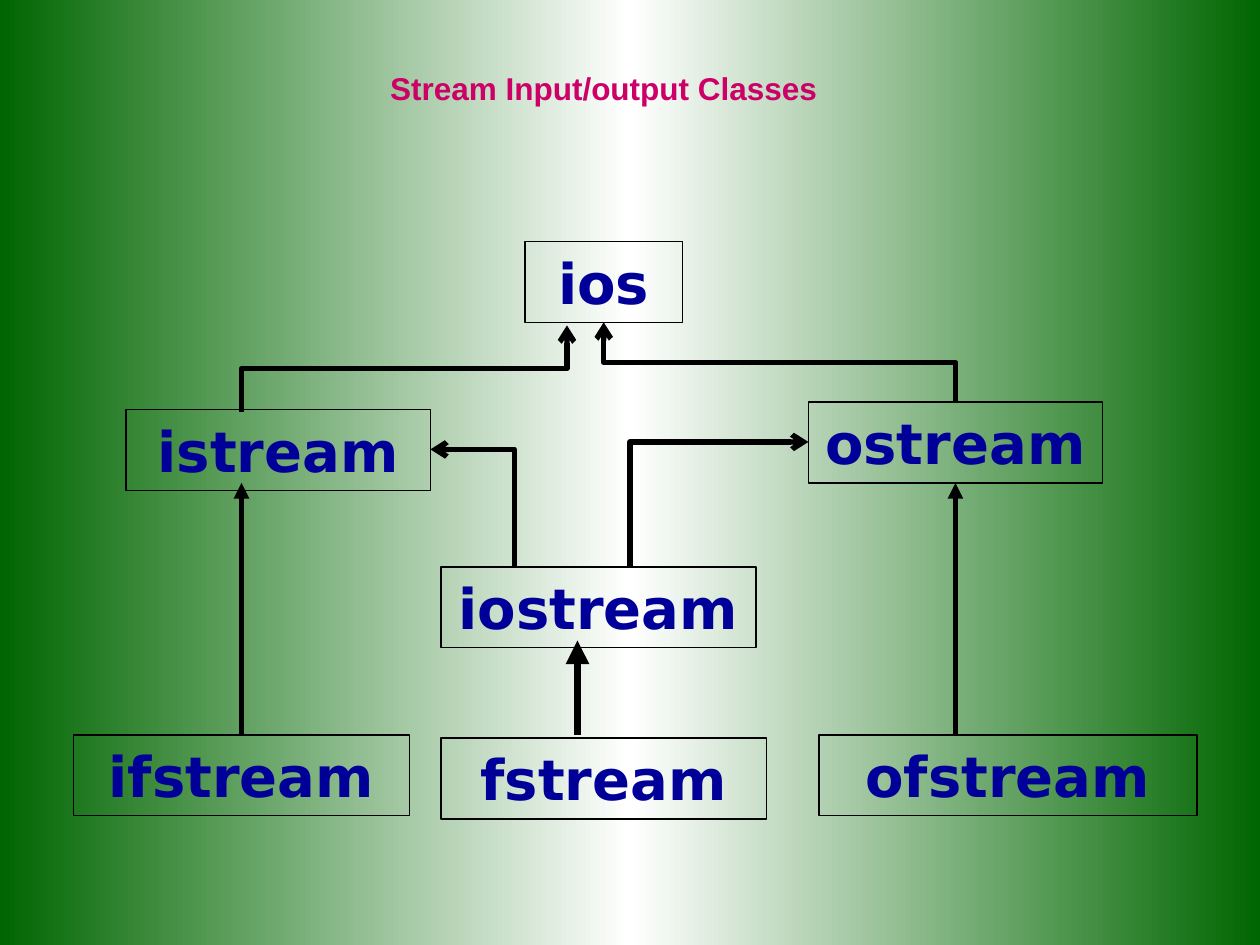
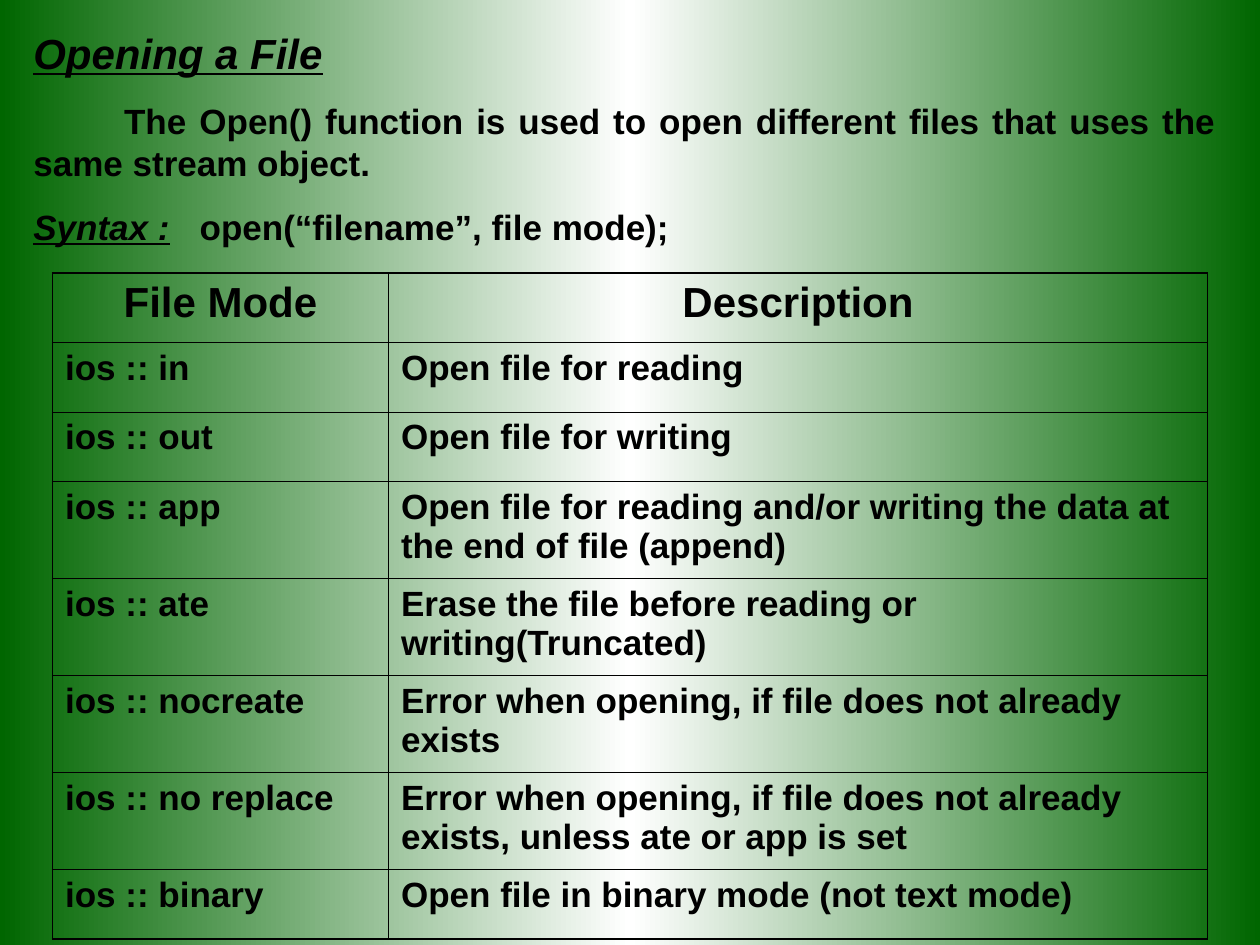
from copy import deepcopy

from lxml.etree import SubElement
from pptx import Presentation
from pptx.dml.color import RGBColor
from pptx.enum.shapes import MSO_CONNECTOR as LINK, MSO_SHAPE
from pptx.enum.text import MSO_ANCHOR as ANCHOR, PP_ALIGN as ALIGN
from pptx.oxml.ns import qn
from pptx.util import Inches, Pt

GREEN = RGBColor(0x00, 0x66, 0x00)
WHITE = RGBColor(0xFF, 0xFF, 0xFF)
BLACK = RGBColor(0x00, 0x00, 0x00)
NAVY = RGBColor(0x00, 0x00, 0x99)
MAGENTA = RGBColor(0xCC, 0x00, 0x66)
BODY_FONT, CLASS_FONT = "Arial", "DejaVu Sans"

prs = Presentation()
prs.slide_width, prs.slide_height = Inches(10), Inches(7.5)
UNIT = prs.slide_width / 120  # the slide is a grid of 120 columns by 90 rows


def grid(*cells):
    return [round(cell * UNIT) for cell in cells]


def style(paragraph, size, color=BLACK, face=BODY_FONT, align=ALIGN.LEFT, before=0):
    font = paragraph.font
    font.size, font.name, font.bold = Pt(size), face, True
    font.color.rgb = color
    paragraph.alignment, paragraph.space_before = align, Pt(before)


# Shared background: green edges, white centre
backdrop = prs.slide_master.background.fill
backdrop.gradient()
backdrop.gradient_angle = 0
stop_list = prs.slide_master.element.find(".//" + qn("a:gsLst"))
stop_list.insert(1, deepcopy(stop_list[0]))
for stop, color, position in zip(backdrop.gradient_stops, (GREEN, WHITE, GREEN), (0, 0.5, 1)):
    stop.color.rgb, stop.position = color, position

blank = prs.slide_layouts[6]

# Slide 1: class hierarchy
hierarchy = prs.slides.add_slide(blank)
title = hierarchy.shapes.add_textbox(*grid(9, 6, 97, 9)).text_frame
title.word_wrap = True
title.text = "Stream Input/output Classes"
style(title.paragraphs[0], 18, MAGENTA, align=ALIGN.CENTER)

BOX_ROWS = 7.7
CLASSES = [  # name, column, row, columns wide
    ("ios", 50, 23, 15),
    ("istream", 12, 39, 29),
    ("ostream", 77, 38.3, 28),
    ("iostream", 42, 54, 30),
    ("fstream", 42, 70.3, 31),
    ("ifstream", 7, 70, 32),
    ("ofstream", 78, 70, 36),
]
for name, column, row, width in CLASSES:
    box = hierarchy.shapes.add_shape(MSO_SHAPE.RECTANGLE, *grid(column, row, width, BOX_ROWS))
    box.shadow.inherit = False
    box.fill.background()
    box.line.color.rgb, box.line.width = BLACK, Pt(0.75)
    label = box.text_frame
    label.word_wrap, label.vertical_anchor = False, ANCHOR.MIDDLE
    label.text = name
    style(label.paragraphs[0], 32, NAVY, CLASS_FONT, ALIGN.CENTER)

INHERITANCE = [  # from, to, preset, line width, arrowhead
    ((23, 39.2), (54, 31), "bentConnector3", 3, "arrow"),
    ((91, 38.3), (57.5, 30.7), "bentConnector3", 3, "arrow"),
    ((49, 54), (41, 42.8), "bentConnector2", 3, "arrow"),
    ((60, 54.1), (77, 42.1), "bentConnector2", 3, "arrow"),
    ((55, 70), (55, 61), "line", 4.5, "triangle"),
    ((23, 70), (23, 46), "line", 3, "triangle"),
    ((91, 70), (91, 46), "line", 3, "triangle"),
]
for (x1, y1), (x2, y2), preset, width, arrowhead in INHERITANCE:
    bent = preset != "line"
    if bent:
        # Turn the end points back a quarter so that the rotated elbow leaves vertically
        mid_x, mid_y = (x1 + x2) / 2, (y1 + y2) / 2
        half_x, half_y = (x2 - x1) / 2, (y2 - y1) / 2
        x1, y1, x2, y2 = mid_x - half_y, mid_y + half_x, mid_x + half_y, mid_y - half_x
    arrow = hierarchy.shapes.add_connector(LINK.ELBOW if bent else LINK.STRAIGHT, *grid(x1, y1, x2, y2))
    arrow.line.color.rgb, arrow.line.width = BLACK, Pt(width)
    props = arrow.element.spPr
    props.find(qn("a:prstGeom")).set("prst", preset)
    if bent:
        props.find(qn("a:xfrm")).set("rot", str(90 * 60000))
    SubElement(props.find(qn("a:ln")), qn("a:tailEnd"), type=arrowhead)
    SubElement(props, qn("a:effectLst"))

# Slide 2: opening a file
opening = prs.slides.add_slide(blank)
intro = opening.shapes.add_textbox(*grid(2, 2, 115, 22.2)).text_frame
intro.word_wrap = True
heading, usage, syntax = intro.paragraphs[0], intro.add_paragraph(), intro.add_paragraph()
heading.text = "Opening a File"
usage.text = "The Open() function is used to open different files that uses the same stream object."
for paragraph, size, before in ((heading, 24, 15), (usage, 20, 12.5), (syntax, 20, 12.5)):
    style(paragraph, size, align=ALIGN.JUSTIFY, before=before)
heading.font.italic = heading.font.underline = True
usage._p.get_or_add_pPr().set("indent", str(Inches(0.72)))

keyword, call = syntax.add_run(), syntax.add_run()
keyword.text = "Syntax :"
keyword.font.italic = keyword.font.underline = True
call.text = "\topen(“filename”, file mode);"
tabs = SubElement(syntax._p.get_or_add_pPr(), qn("a:tabLst"))
tabs.extend([])
SubElement(tabs, qn("a:tab"), pos=str(Inches(1.32)), algn="l")

MODES = [
    ("File Mode", "Description"),
    ("ios :: in", "Open file for reading"),
    ("ios :: out", "Open file for writing"),
    ("ios :: app", "Open file for reading and/or writing the data at the end of file (append)"),
    ("ios :: ate", "Erase the file before reading or writing(Truncated)"),
    ("ios :: nocreate", "Error when opening, if file does not already exists"),
    ("ios :: no replace", "Error when opening, if file does not already exists, unless ate or app is set"),
    ("ios :: binary", "Open file in binary mode (not text mode)"),
]
SHORT_ROW, TALL_ROW = 6.62, 9.24
THIN, THICK = Pt(0.45), Pt(1.08)
TWO_LINES = 45  # characters that fit on one line of a description

modes = opening.shapes.add_table(len(MODES), 2, *grid(5, 26, 110, 63.5)).table
modes.first_row = modes.horz_banding = False
modes.columns[0].width, modes.columns[1].width = grid(32, 78)
for r, texts in enumerate(MODES):
    modes.rows[r].height = grid(TALL_ROW if len(texts[1]) > TWO_LINES else SHORT_ROW)[0]
    for c, text in enumerate(texts):
        cell = modes.cell(r, c)
        cell.text = text
        if r == 0:
            style(cell.text_frame.paragraphs[0], 24, align=ALIGN.CENTER, before=6)
        else:
            style(cell.text_frame.paragraphs[0], 20, before=5)
        outer = {"a:lnL": c == 0, "a:lnR": c == 1, "a:lnT": r == 0, "a:lnB": r == len(MODES) - 1}
        for side, on_edge in outer.items():
            border = SubElement(cell._tc.get_or_add_tcPr(), qn(side), w=str(THICK if on_edge else THIN))
            SubElement(SubElement(border, qn("a:solidFill")), qn("a:srgbClr"), val=str(BLACK))
        cell.fill.background()

prs.save("out.pptx")
